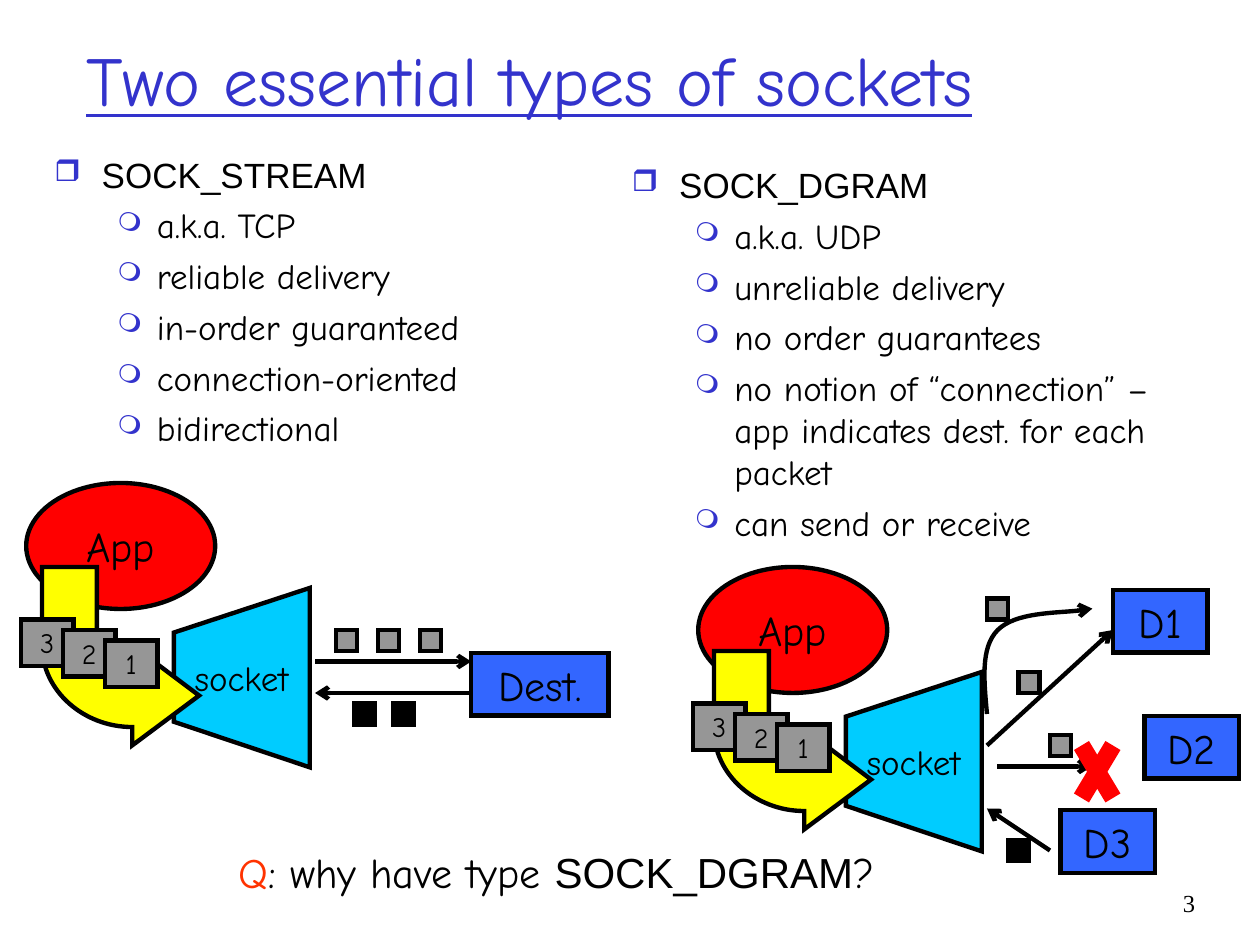
from dataclasses import dataclass
from lxml.etree import SubElement
from pptx import Presentation
from pptx.dml.color import RGBColor
from pptx.enum.shapes import MSO_CONNECTOR, MSO_SHAPE
from pptx.enum.text import MSO_ANCHOR, MSO_AUTO_SIZE, PP_ALIGN
from pptx.oxml.ns import qn
from pptx.util import Pt


@dataclass(frozen=True)
class Theme:
    """Colours, fonts and type sizes of the slide."""
    ink: str = "000000"
    accent: str = "3333CC"
    ask: str = "FF3300"
    red: str = "FF0000"
    yellow: str = "FFFF00"
    cyan: str = "00CCFF"
    blue: str = "3366FF"
    gray: str = "969696"
    hand: str = "Comic Neue"
    sans: str = "Arial"
    serif: str = "Times New Roman"
    title: int = 40
    label: int = 24
    body: int = 20
    card: int = 16
    page: int = 14
    stroke: float = 2.5
    cross: int = 10


@dataclass(frozen=True)
class Box:
    """A rectangle in points, with an optional label."""
    x: float
    y: float
    w: float
    h: float
    text: str = ""


@dataclass(frozen=True)
class Line:
    """A straight line from one point to another."""
    x1: float
    y1: float
    x2: float
    y2: float


@dataclass(frozen=True)
class Column:
    """A headed list of points."""
    box: Box
    head: str
    items: tuple


T = Theme()
deck = Presentation()
deck.slide_width, deck.slide_height = Pt(720), Pt(540)
slide = deck.slides.add_slide(deck.slide_layouts[5])
shapes = slide.shapes


def write(para, text: str, *, size=T.label, font=T.hand, color=T.ink,
          align=PP_ALIGN.CENTER, before=0.0, under=None) -> None:
    """Add a formatted run to a paragraph."""
    para.alignment = align
    para.space_before = Pt(before)
    run = para.add_run()
    run.text = text
    run.font.size, run.font.name = Pt(size), font
    run.font.color.rgb = RGBColor.from_string(color)
    run.font.underline = under


def frame(shape, anchor=MSO_ANCHOR.TOP):
    """Prepare a text frame and return it."""
    area = shape.text_frame
    area.word_wrap = True
    area.auto_size = MSO_AUTO_SIZE.NONE
    area.vertical_anchor = anchor
    return area


def place(box: Box) -> tuple:
    """Return the box as four lengths."""
    return Pt(box.x), Pt(box.y), Pt(box.w), Pt(box.h)


def note(box: Box, anchor=MSO_ANCHOR.TOP):
    """Add a text box and return its text frame."""
    return frame(shapes.add_textbox(*place(box)), anchor)


def paint(shape, fill=None) -> None:
    """Give a shape its fill and black outline."""
    shape.shadow.inherit = False
    if fill:
        shape.fill.solid()
        shape.fill.fore_color.rgb = RGBColor.from_string(fill)
    else:
        shape.fill.background()
    shape.line.color.rgb = RGBColor.from_string(T.ink)
    shape.line.width = Pt(T.stroke)
    SubElement(shape.line._get_or_add_ln(), qn("a:miter"), lim="800000")


def block(box: Box, fill: str, kind=MSO_SHAPE.RECTANGLE, size=T.label,
          anchor=MSO_ANCHOR.MIDDLE) -> None:
    """Draw a preset shape with its label."""
    shape = shapes.add_shape(kind, *place(box))
    paint(shape, fill)
    if box.text:
        write(frame(shape, anchor).paragraphs[0], box.text, size=size, before=size * 0.625)


def tip(line) -> None:
    """Put an open arrowhead at the end of a line."""
    SubElement(line._get_or_add_ln(), qn("a:tailEnd"), type="arrow")


def link(line: Line, color=T.ink, width=T.stroke, arrow=True) -> None:
    """Draw a straight line or arrow."""
    ends = (Pt(v) for v in (line.x1, line.y1, line.x2, line.y2))
    shape = shapes.add_connector(MSO_CONNECTOR.STRAIGHT, *ends)
    shape.line.color.rgb = RGBColor.from_string(color)
    shape.line.width = Pt(width)
    SubElement(shape._element.spPr, qn("a:effectLst"))
    if arrow:
        tip(shape.line)


def trace(points: list, fill=None, curves=(), close=True):
    """Draw an outline; each index in curves starts a cubic of three points."""
    start, *rest = [(Pt(x), Pt(y)) for x, y in points]
    pen = shapes.build_freeform(*start)
    pen.add_line_segments(rest, close=close)
    shape = pen.convert_to_shape()
    steps = list(shape._element.iter(qn("a:lnTo")))
    for i in curves:
        bend = steps[i - 1]
        cubic = bend.makeelement(qn("a:cubicBezTo"))
        bend.addprevious(cubic)
        for step in steps[i - 1:i + 2]:
            cubic.append(step[0])
            step.getparent().remove(step)
    paint(shape, fill)
    return shape


def bullet(para, mark: str, scale: int, left: float, hang: float) -> None:
    """Give a paragraph a coloured hanging bullet."""
    props = para._p.get_or_add_pPr()
    props.set("marL", str(Pt(left)))
    props.set("indent", str(-Pt(hang)))
    SubElement(SubElement(props, qn("a:buClr")), qn("a:srgbClr"), val=T.accent)
    SubElement(props, qn("a:buSzPct"), val=str(scale * 1000))
    SubElement(props, qn("a:buChar"), char=mark)


def fill_list(col: Column) -> None:
    """Write one column of text."""
    area = note(col.box)
    form = dict(size=T.body, align=PP_ALIGN.LEFT, before=5)
    write(area.paragraphs[0], col.head, font=T.sans, **form)
    bullet(area.paragraphs[0], "\u2752", 85, 27, 27)
    for item in col.items:
        para = area.add_paragraph()
        para.level = 1
        write(para, item, **form)
        bullet(para, "\u274d", 75, 58.5, 22.5)


def sender(dx: float, dy: float) -> None:
    """Draw an app that feeds numbered packets to a socket."""
    def shift(points: list) -> list:
        return [(x + dx, y + dy) for x, y in points]

    block(Box(15 + dx, 276 + dy, 108, 72), T.red, MSO_SHAPE.OVAL)
    write(note(Box(12 + dx, 294 + dy, 114, 36)).paragraphs[0], "App", before=15)
    trace(shift([(177, 336), (177, 438.5), (99.4, 412.5), (99.4, 361.5)]), T.cyan)
    label = note(Box(72 + dx, 371.5 + dy, 132, 31.5), MSO_ANCHOR.MIDDLE)
    write(label.paragraphs[0], "socket", size=T.body, before=12.5)
    trace(shift([(24, 324), (24, 368.8), (24, 394.5), (47.5, 415.5), (75.6, 415.5),
                 (75.6, 426), (113.8, 397.5), (75.6, 368.8), (75.6, 379.5),
                 (64.8, 379.5), (55.4, 374.4), (55.4, 368.8), (55.4, 324)]),
          T.yellow, curves=(2, 9))
    for i, text in enumerate("321"):
        block(Box(12 + 24 * i + dx, 354 + 6 * i + dy, 30, 26.6, text), T.gray,
              size=T.card, anchor=MSO_ANCHOR.TOP)


title = shapes.title
title.left, title.top, title.width, title.height = place(Box(42, 0, 612, 90))
write(frame(title, MSO_ANCHOR.MIDDLE).paragraphs[0], "Two essential types of sockets",
      size=T.title, color=T.accent, align=PP_ALIGN.LEFT, under=True)

for col in (
    Column(Box(24, 84, 300, 366), "SOCK_STREAM",
           ("a.k.a. TCP", "reliable delivery", "in-order guaranteed",
            "connection-oriented", "bidirectional")),
    Column(Box(354, 90, 342, 366), "SOCK_DGRAM",
           ("a.k.a. UDP", "unreliable delivery", "no order guarantees",
            "no notion of “connection” – app indicates dest. for each packet",
            "can send or receive")),
):
    fill_list(col)

sender(0, 0)
sender(384, 48)
for x, y in [(192 + 24 * i, 360) for i in range(3)] + [(564, 342), (582, 384), (600, 420)]:
    block(Box(x, y, 12, 12), T.gray)
for x, y in ((202.3, 402), (224.6, 402), (576, 480)):
    block(Box(x, y, 12, 12), T.ink)
for box in (Box(269.3, 373, 78.5, 36, "Dest."), Box(636, 337, 54, 36, "D1"),
            Box(606, 463, 54, 36, "D3"), Box(654, 409, 54, 36, "D2")):
    block(box, T.blue)
for line in (Line(180, 378, 269.3, 378), Line(269.3, 396, 180, 396),
             Line(564, 426, 636, 360), Line(570, 438, 624, 438), Line(600, 486, 564, 462)):
    link(line)
arc = trace([(564, 408), (562.3, 388.8), (560.2, 370), (570.2, 360),
             (580.3, 350), (614.9, 350), (624.2, 347.8)], curves=(1, 4), close=False)
tip(arc.line)
for line in (Line(618, 426, 636, 456), Line(636, 426, 618, 456)):
    link(line, T.red, T.cross, arrow=False)

query = note(Box(114, 480, 408, 36)).paragraphs[0]
for text, font, color in (("Q", T.hand, T.ask), (": why have type ", T.hand, T.ink),
                          ("SOCK_DGRAM", T.sans, T.ink), ("?", T.hand, T.ink)):
    write(query, text, font=font, color=color, before=15)
write(note(Box(654, 504, 36, 36)).paragraphs[0], "3", size=T.page, font=T.serif,
      align=PP_ALIGN.RIGHT)
deck.save("out.pptx")
